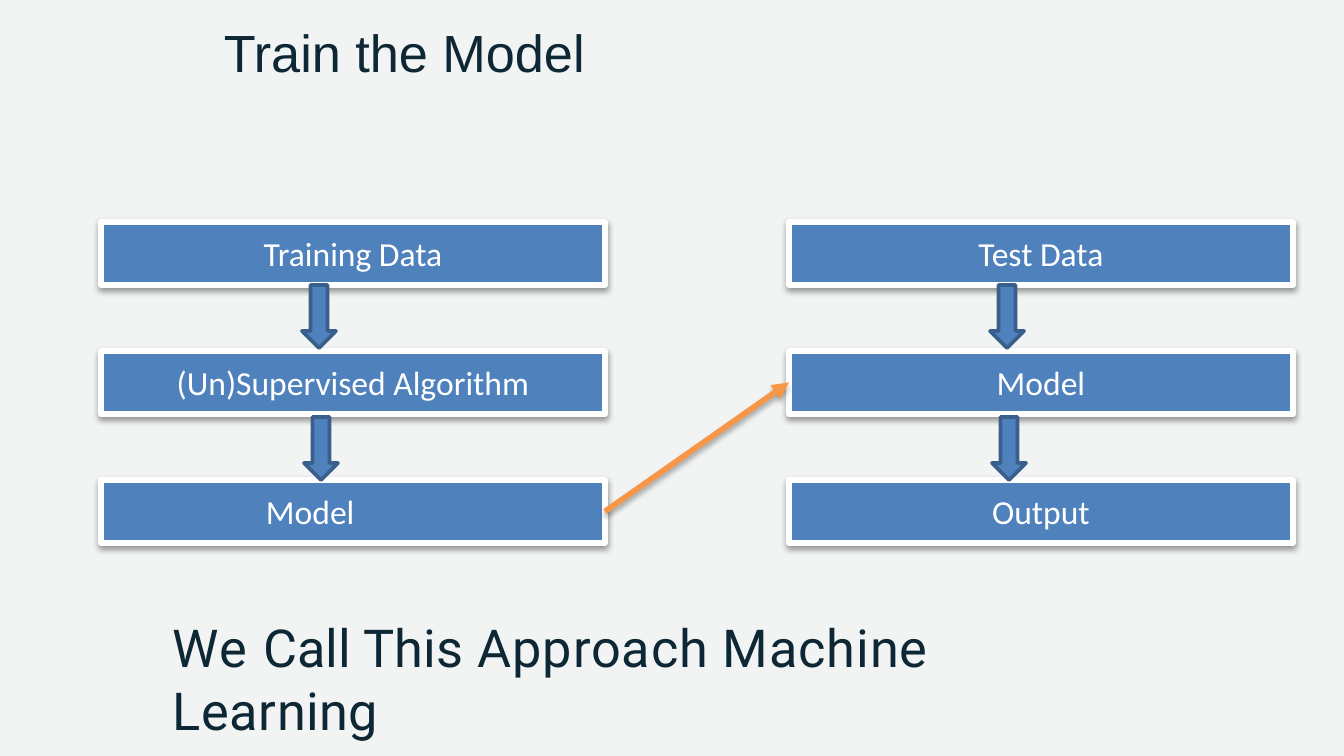
from dataclasses import dataclass

from lxml import etree
from pptx import Presentation
from pptx import util as u
from pptx.dml.color import RGBColor
from pptx.enum import shapes, text
from pptx.oxml.ns import qn

EMU_PER_PX = 914400 / 134.4


@dataclass(frozen=True)
class Theme:
    background: str = "F2F4F4"
    ink: str = "0E2735"
    box: str = "4F81BD"
    box_text: str = "FFFFFF"
    box_border: str = "FFFFFF"
    arrow_border: str = "3A5F8C"
    link: str = "F79646"
    shadow: str = "000000"
    title_font: str = "Arial"
    box_font: str = "Calibri"
    closing_font: str = "Roboto"
    heading_size: int = 28
    box_size: int = 18
    thick: int = 3
    thin: int = 2


THEME = Theme()
BOX_WIDTH, BOX_HEIGHT = 504, 63
FIRST_TOP, ROW_STEP = 222, 129
COLUMNS = (
    (101, ("Training Data", "(Un)Supervised Algorithm", "Model")),
    (789, ("Test Data", "Model", "Output")),
)
STEP_ARROWS = ((201, 285), (203, 417))  # offset from column left, top
ARROW_WIDTH = 34
TRAINED_MODEL_INDENT = 165
CLOSING = (("We ", 80), ("Call ", -10), ("This ", 20),
           ("Approach Machine ", 50), ("Learning", 30))


def px(*lengths):
    return [u.Emu(round(length * EMU_PER_PX)) for length in lengths]


def paint(fill, color):
    fill.solid()
    fill.fore_color.rgb = RGBColor.from_string(color)


def draw_line(line, color, width):
    paint(line.fill, color)
    line.width = u.Pt(width)


def style_span(span, font, size, color):
    span.font.name = font
    span.font.size = u.Pt(size)
    span.font.color.rgb = RGBColor.from_string(color)


def add_shadow(effects, opacity, distance):
    """Add a soft shadow straight below; opacity in percent, distance in points."""
    shadow = etree.SubElement(
        effects, qn("a:outerShdw"), blurRad=str(u.Pt(3.1)), dist=str(u.Pt(distance)),
        dir="5400000", algn="ctr", rotWithShape="0")
    color = etree.SubElement(shadow, qn("a:srgbClr"), val=THEME.shadow)
    etree.SubElement(color, qn("a:alpha"), val=str(opacity * 1000))


def add_shape(page, kind, bounds, border, border_width):
    shape = page.shapes.add_shape(kind, *px(*bounds))
    shape.shadow.inherit = False
    paint(shape.fill, THEME.box)
    draw_line(shape.line, border, border_width)
    return shape


def add_step(page, left, top, label):
    box = add_shape(page, shapes.MSO_SHAPE.RECTANGLE,
                    (left, top, BOX_WIDTH, BOX_HEIGHT), THEME.box_border, THEME.thick)
    add_shadow(box.element.spPr.find(qn("a:effectLst")), 38, 1.6)
    frame = box.text_frame
    frame.text = label
    frame.vertical_anchor = text.MSO_ANCHOR.MIDDLE
    para = frame.paragraphs[0]
    para.alignment = text.PP_ALIGN.CENTER
    style_span(para.runs[0], THEME.box_font, THEME.box_size, THEME.box_text)
    return box


def add_column(page, left, labels):
    boxes = [add_step(page, left, FIRST_TOP + row * ROW_STEP, label)
             for row, label in enumerate(labels)]
    for offset, top in STEP_ARROWS:
        add_shape(page, shapes.MSO_SHAPE.DOWN_ARROW,
                  (left + offset, top, ARROW_WIDTH, BOX_HEIGHT),
                  THEME.arrow_border, THEME.thin)
    return boxes


def add_link(page, source, target):
    """Point an arrow from the right side of source to the left side of target."""
    link = page.shapes.add_connector(shapes.MSO_CONNECTOR.STRAIGHT, 0, 0, 0, 0)
    link.begin_connect(source, 3)
    link.end_connect(target, 1)
    draw_line(link.line, THEME.link, THEME.thick)
    properties = link.element.spPr
    etree.SubElement(properties.find(qn("a:ln")), qn("a:tailEnd"), type="triangle")
    add_shadow(etree.SubElement(properties, qn("a:effectLst")), 35, 1.8)


def add_heading(page, bounds, font, pieces):
    """Add a heading from (wording, letter spacing in 1/100 pt) pieces."""
    frame = page.shapes.add_textbox(*px(*bounds)).text_frame
    frame.word_wrap = True
    frame.margin_left = frame.margin_top = frame.margin_right = frame.margin_bottom = 0
    para = frame.paragraphs[0]
    for wording, spacing in pieces:
        span = para.add_run()
        span.text = wording
        style_span(span, font, THEME.heading_size, THEME.ink)
        if spacing:
            span.font._element.set("spc", str(spacing))
    return frame


def main():
    deck = Presentation()
    deck.slide_width, deck.slide_height = px(1344, 756)
    page = deck.slides.add_slide(deck.slide_layouts[6])
    paint(page.background.fill, THEME.background)

    add_heading(page, (224, 20, 861, 63), THEME.title_font, [("Train the Model", 0)])
    training, testing = [add_column(page, *column) for column in COLUMNS]

    trained_model = training[-1].text_frame
    trained_model.paragraphs[0].alignment = text.PP_ALIGN.LEFT
    trained_model.margin_left, = px(TRAINED_MODEL_INDENT)
    add_link(page, training[-1], testing[1])

    closing = add_heading(page, (172, 614, 964, 66), THEME.closing_font, CLOSING)
    closing.margin_left, closing.margin_top = px(1, 1)
    closing.paragraphs[0].space_before = u.Pt(1)
    deck.save("out.pptx")


if __name__ == "__main__":
    main()
